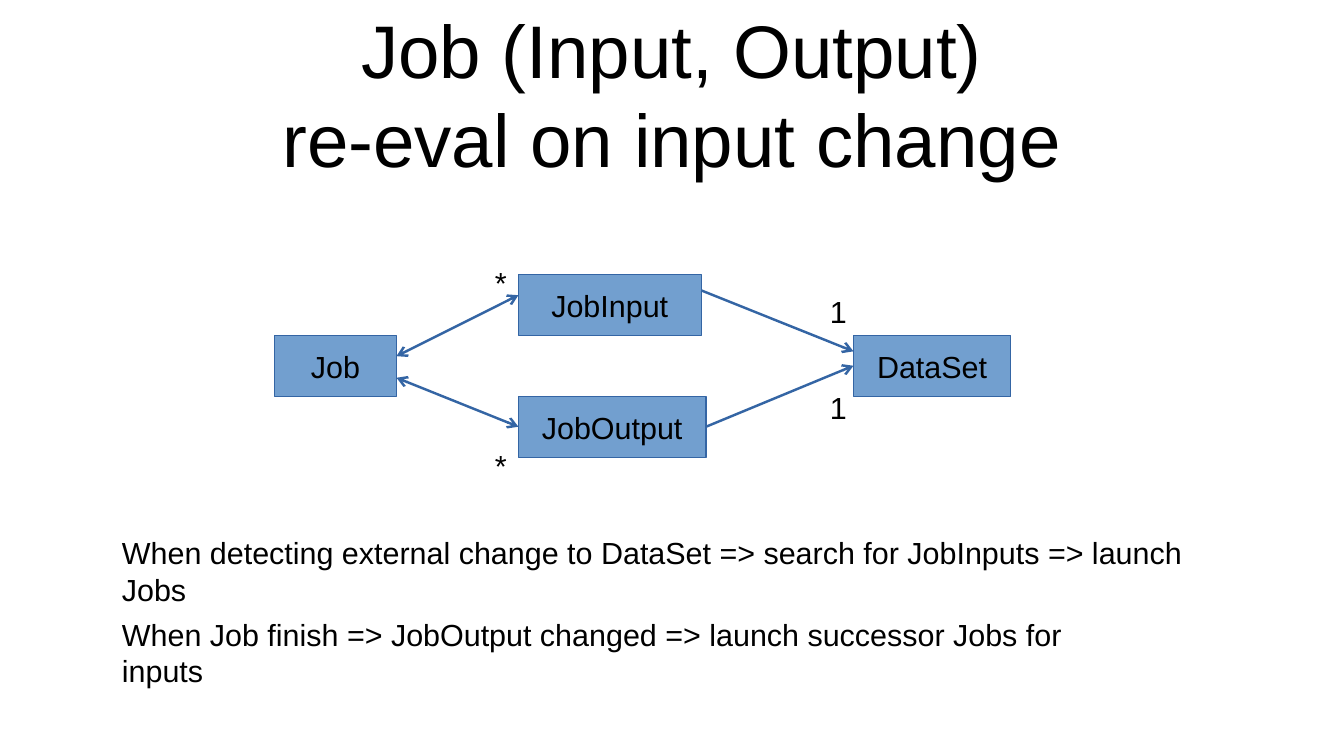
from lxml import etree
from pptx import Presentation
from pptx.dml.color import RGBColor
from pptx.enum.shapes import MSO_CONNECTOR, MSO_SHAPE
from pptx.enum.text import MSO_ANCHOR, PP_ALIGN
from pptx.oxml.ns import qn
from pptx.util import Cm, Pt

RECT, LINE = MSO_SHAPE.RECTANGLE, MSO_CONNECTOR.STRAIGHT
TOP, MIDDLE = MSO_ANCHOR.TOP, MSO_ANCHOR.MIDDLE
LEFT, CENTER = PP_ALIGN.LEFT, PP_ALIGN.CENTER
COLORS = {"text": "000000", "fill": "729FCF", "edge": "3465A4"}


def color(name):
    return RGBColor.from_string(COLORS[name])


class Board:
    font, size = "Arial", 18

    def __init__(self, slide):
        self.shapes = slide.shapes

    def fill(self, frame, lines, align, anchor, size, pad):
        frame.vertical_anchor = anchor
        frame.margin_left = frame.margin_right = Cm(pad)
        frame.margin_top = frame.margin_bottom = Cm(pad / 2)
        para = frame.paragraphs[0]
        para.alignment = align
        for i, line in enumerate(lines):
            if i:
                para.add_line_break()
            run = para.add_run()
            run.text = line
            run.font.name = self.font
            run.font.size = Pt(size)
            run.font.color.rgb = color("text")

    def text(self, lines, x, y, w, h, align=LEFT, anchor=TOP,
             size=size, pad=0.25, wrap=True):
        frame = self.shapes.add_textbox(Cm(x), Cm(y), Cm(w), Cm(h)).text_frame
        frame.word_wrap = wrap
        self.fill(frame, lines, align, anchor, size, pad)

    def box(self, label, x, y, w, h):
        shape = self.shapes.add_shape(RECT, Cm(x), Cm(y), Cm(w), Cm(h))
        shape.shadow.inherit = False
        shape.fill.solid()
        shape.fill.fore_color.rgb = color("fill")
        shape.line.color.rgb = color("edge")
        shape.line.width = Pt(0)
        self.fill(shape.text_frame, [label], CENTER, MIDDLE, self.size, 0.25)

    def arrow(self, x1, y1, x2, y2, ends):
        link = self.shapes.add_connector(LINE, Cm(x1), Cm(y1), Cm(x2), Cm(y2))
        link.line.color.rgb = color("edge")
        link.line.width = Pt(1.45)
        props = link._element.spPr
        for end in ends:
            etree.SubElement(props.find(qn("a:ln")), qn("a:" + end), type="arrow")
        etree.SubElement(props, qn("a:effectLst"))


def main():
    deck = Presentation()
    deck.slide_width, deck.slide_height = Cm(28), Cm(15.75)
    board = Board(deck.slides.add_slide(deck.slide_layouts[6]))

    # Title
    board.text(["Job (Input, Output)", "re-eval on input change"],
               1.4, 0.2, 25.2, 3.48, CENTER, MIDDLE, 44, 0)

    # Entities
    high = 1.27
    job, mid, data = 5.72, 10.8, 17.78
    top = 5.72
    row = top + high
    low = row + high
    for label, x, y, w in [("Job", job, row, 2.54), ("JobInput", mid, top, 3.81),
                           ("JobOutput", mid, low, 3.91), ("DataSet", data, row, 3.28)]:
        board.box(label, x, y, w, high)

    # Relations
    both, single = ("headEnd", "tailEnd"), ("tailEnd",)
    for x1, y1, x2, y2, ends in [(job + 2.54, 7.42, mid, 6.15, both),
                                 (job + 2.54, 7.87, mid, 8.89, both),
                                 (mid + 3.81, 6.05, data, 7.32, single),
                                 (mid + 3.91, 8.89, data, 7.62, single)]:
        board.arrow(x1, y1, x2, y2, ends)

    # Multiplicities
    for mark, x, y, w in [("*", 10.06, 5.38, 0.74), ("*", 10.06, 9.19, 0.74),
                          ("1", 17.04, 7.98, 0.86), ("1", 17.04, 5.99, 0.86)]:
        board.text([mark], x, y, w, 0.96, wrap=False)

    # Rules
    for note, y, w in [
        ("When detecting external change to DataSet => search for JobInputs"
         " => launch Jobs", 11, 24),
        ("When Job finish => JobOutput changed => launch successor Jobs for inputs",
         12.7, 21.8),
    ]:
        board.text([note], 2.29, y, w, 1.7)

    deck.save("out.pptx")


if __name__ == "__main__":
    main()
